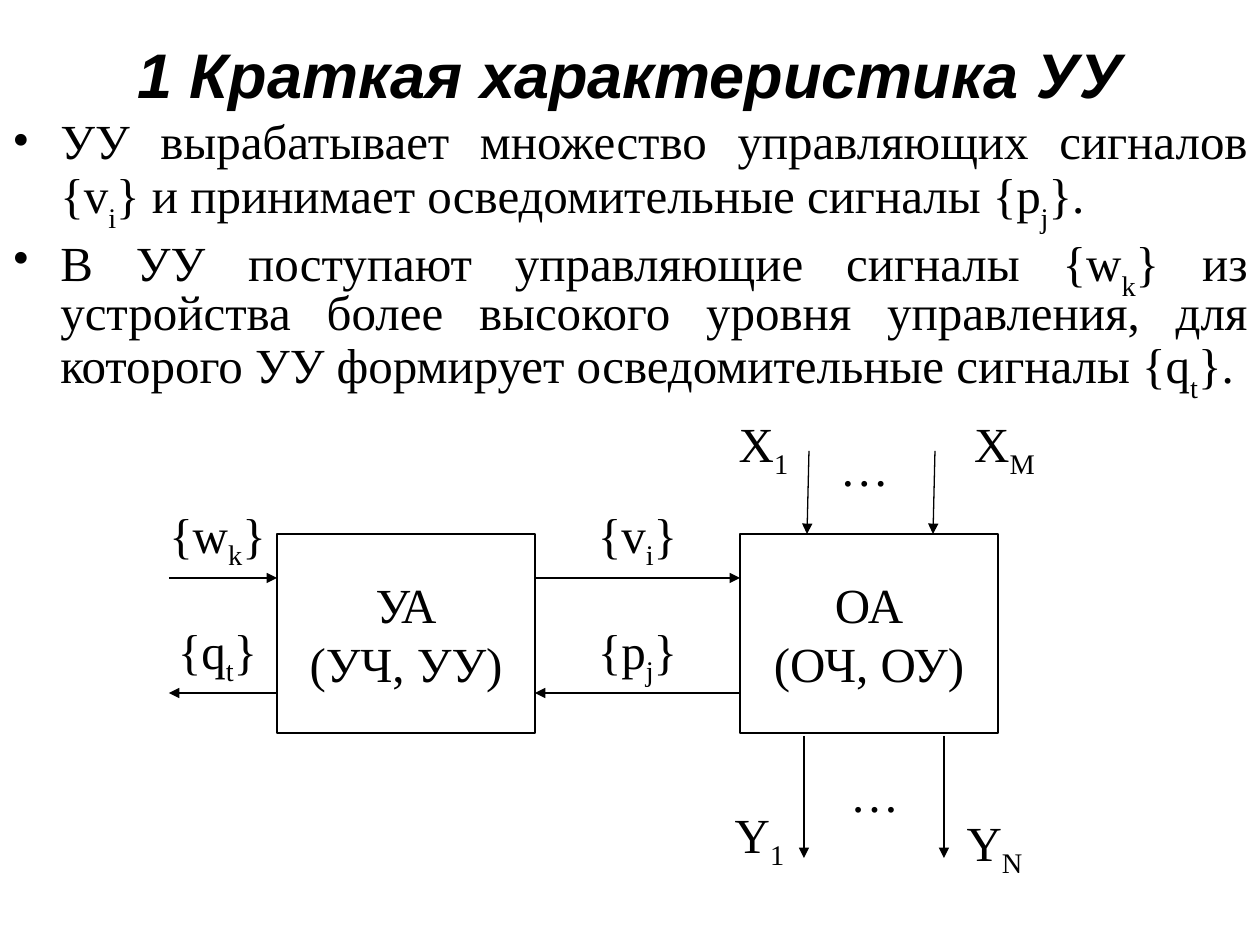
"""Builds a slide on the control unit: two bullets and a block diagram of its signals."""
from lxml import etree
from pptx import Presentation
from pptx.dml.color import RGBColor
from pptx.enum.shapes import MSO_CONNECTOR, MSO_SHAPE
from pptx.enum.text import MSO_ANCHOR, PP_ALIGN
from pptx.oxml.ns import qn
from pptx.util import Emu, Pt

STRAIGHT, RECT = MSO_CONNECTOR.STRAIGHT, MSO_SHAPE.RECTANGLE
MIDDLE, TOP = MSO_ANCHOR.MIDDLE, MSO_ANCHOR.TOP
CENTER, JUSTIFY = PP_ALIGN.CENTER, PP_ALIGN.JUSTIFY
COLORS = {"ink": "000000", "paper": "FFFFFF"}
INK = RGBColor.from_string(COLORS["ink"])
SCALE = 914400 / 126


def px(*values):
    return [Emu(round(v * SCALE)) for v in values]


def write(s, lines, font="Times New Roman", size=28, bold=False, italic=False,
          align=CENTER, anchor=TOP, bullet=False, sub=-25000):
    """Fill a shape with lines; the character after each underscore is a subscript."""
    tf = s.text_frame
    tf.word_wrap = True
    tf.vertical_anchor = anchor
    for i, line in enumerate(lines):
        p = tf.paragraphs[0] if i == 0 else tf.add_paragraph()
        p.alignment = align
        if bullet:
            pPr = p._p.get_or_add_pPr()
            pPr.set("marL", str(px(48)[0]))
            pPr.set("indent", str(px(-48)[0]))
            etree.SubElement(pPr, qn("a:buFont")).set("typeface", font)
            etree.SubElement(pPr, qn("a:buChar")).set("char", "•")
            p.line_spacing = 0.8
            p.space_before = Pt(7 if i else 0)
        first, *rest = line.split("_")
        pieces = [(first, 0)]
        for part in rest:
            pieces += [(part[0], sub), (part[1:], 0)]
        for text, baseline in pieces:
            if text:
                r = p.add_run()
                r.text = text
                r.font.name, r.font.size = font, Pt(size)
                r.font.bold, r.font.italic = bold, italic
                r.font.color.rgb = INK
                if baseline:
                    r._r.get_or_add_rPr().set("baseline", str(baseline))


prs = Presentation()
prs.slide_width, prs.slide_height = px(1260, 945)
slide = prs.slides.add_slide(prs.slide_layouts[5])
shapes = slide.shapes
slide.background.fill.solid()
slide.background.fill.fore_color.rgb = RGBColor.from_string(COLORS["paper"])

title = shapes.title
title.left, title.top, title.width, title.height = px(94, 10, 1072, 126)
write(title, ["1 Краткая характеристика УУ"], font="Arial", size=36,
      bold=True, italic=True, anchor=MIDDLE)

body = shapes.add_textbox(*px(0, 116, 1260, 305))
write(body, [
    "УУ вырабатывает множество управляющих сигналов {v_i} и принимает "
    "осведомительные сигналы {p_j}.",
    "В УУ поступают управляющие сигналы {w_k} из устройства более высокого уровня "
    "управления, для которого УУ формирует осведомительные сигналы {q_t}.",
], align=JUSTIFY, bullet=True, sub=-30000)

BOX_W, BOX_H, BOX_Y = 258, 199, 534
UA_X, OA_X = 277, 740
for x, lines in [(UA_X, ["УА", "(УЧ, УУ)"]), (OA_X, ["ОА", "(ОЧ, ОУ)"])]:
    s = shapes.add_shape(RECT, *px(x, BOX_Y, BOX_W, BOX_H))
    s.shadow.inherit = False
    s.fill.background()
    s.line.color.rgb = INK
    s.line.width = Pt(0.75)
    write(s, lines, anchor=MIDDLE)

UA_RIGHT, IN_X, UPPER, LOWER = UA_X + BOX_W, 169, 578, 693
arrows = [
    (IN_X, UPPER, UA_X, UPPER), (UA_X, LOWER, IN_X, LOWER),
    (UA_RIGHT, UPPER, OA_X, UPPER), (OA_X, LOWER, UA_RIGHT, LOWER),
]
arrows += [(x, 451, x - 2, BOX_Y) for x in (809, 935)]
arrows += [(x, 736, x, 858) for x in (804, 944)]
for ends in arrows:
    c = shapes.add_connector(STRAIGHT, *px(*ends))
    c.line.color.rgb = INK
    c.line.width = Pt(0.75)
    etree.SubElement(c.line._get_or_add_ln(), qn("a:tailEnd")).set("type", "triangle")
    etree.SubElement(c._element.spPr, qn("a:effectLst"))

labels = [
    ("{w_k}", 137, 498), ("{q_t}", 137, 614), ("{v_i}", 557, 498), ("{p_j}", 557, 614),
    ("X_1", 683, 407), ("…", 784, 431), ("X_M", 924, 407),
    ("Y_1", 679, 798), ("…", 794, 757), ("Y_N", 914, 806),
]
for text, x, y in labels:
    write(shapes.add_textbox(*px(x, y, 161, 87)), [text])

prs.save("out.pptx")
